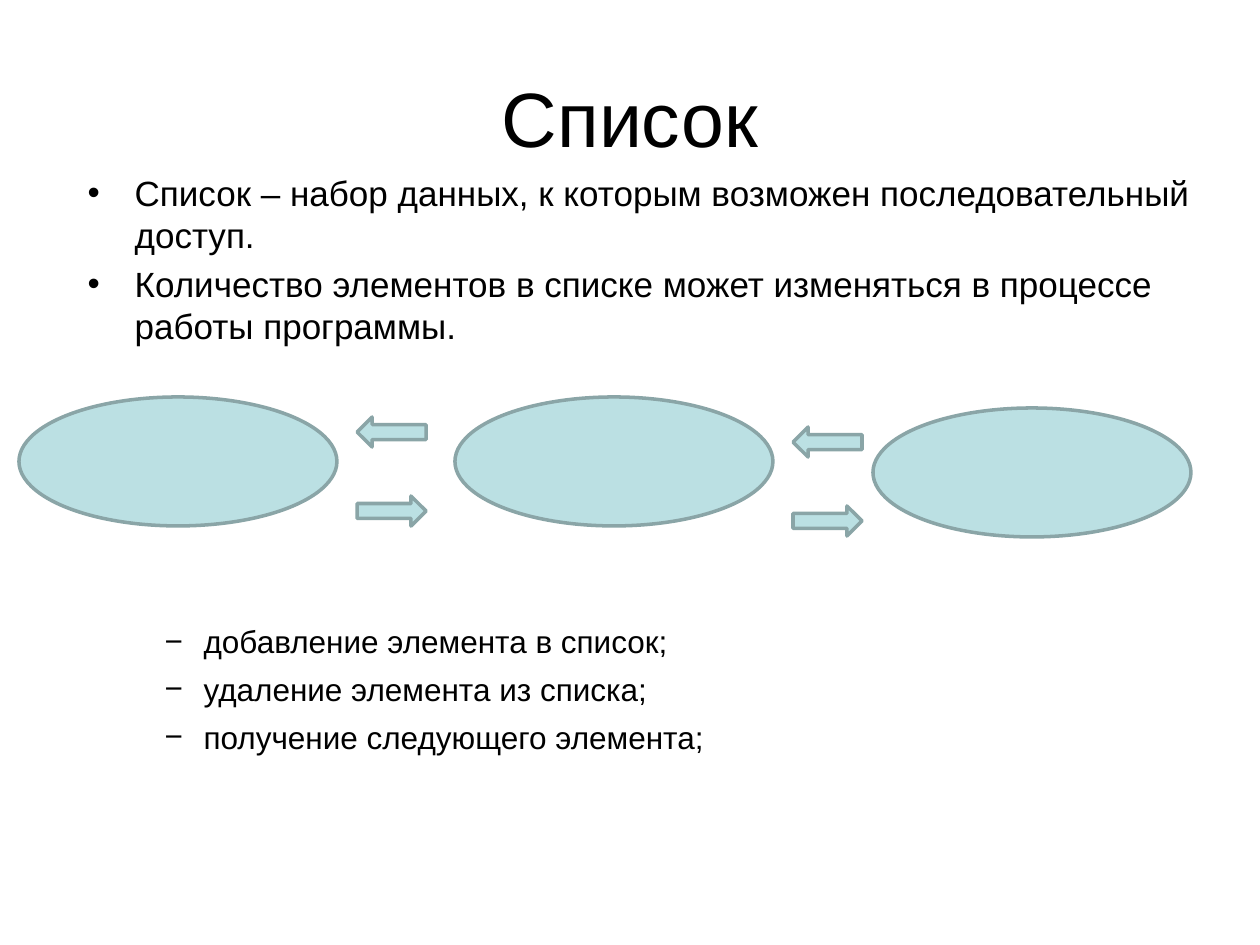
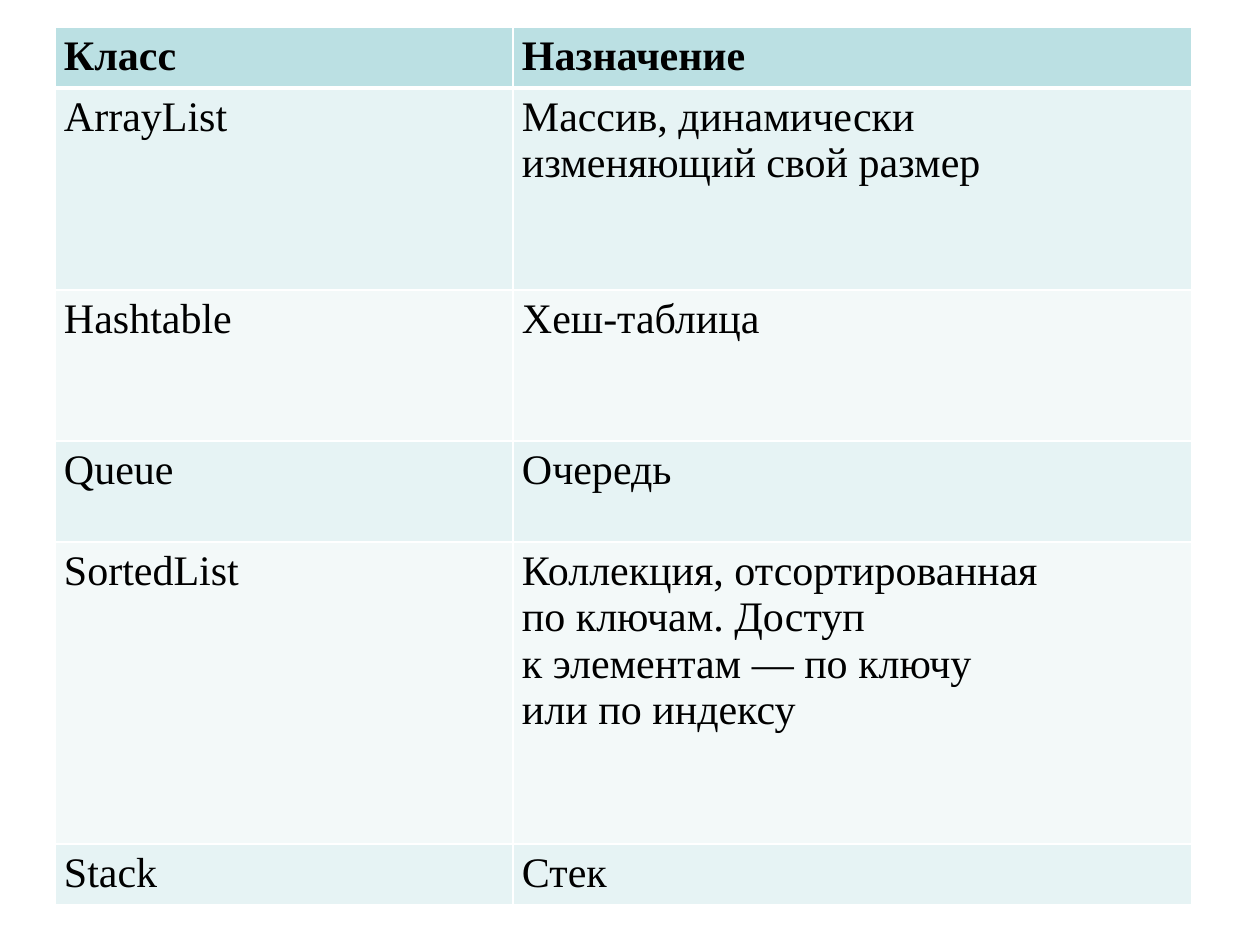
from lxml.etree import SubElement, Element
from pptx import Presentation
from pptx.dml.color import RGBColor as RGB
from pptx.enum.shapes import MSO_SHAPE as SHAPE
from pptx.enum.text import MSO_ANCHOR as ANCHOR, MSO_AUTO_SIZE as AUTOSIZE, PP_ALIGN as ALIGN
from pptx.oxml.ns import qn
from pptx.util import Emu, Pt

COLORS = {
    "text": "000000",
    "accent": "BBE0E3",
    "outline": "8AA5A7",
    "border": "FFFFFF",
    "odd_row": "E6F3F4",
    "even_row": "F3F9F9",
}
SCALE = 914400 / 126
TITLE_LAYOUT, BLANK_LAYOUT = 3, 6

CLASS_ROWS = [
    (61, "Класс", ["Назначение"]),
    (202, "ArrayList", ["Массив, динамически", "изменяющий свой размер"]),
    (151, "Hashtable", ["Хеш-таблица"]),
    (101, "Queue", ["Очередь"]),
    (302, "SortedList", ["Коллекция, отсортированная", "по ключам. Доступ",
                         "к элементам — по ключу", "или по индексу"]),
    (61, "Stack", ["Стек"]),
]


def px(length):
    """Turn pixels into EMU."""
    return Emu(round(length * SCALE))


def color(name):
    """Return a named colour."""
    return RGB.from_string(COLORS[name])


class Deck:
    """Shared style and the slide being built."""

    def __init__(self):
        """Start an empty 4:3 presentation."""
        self.presentation = Presentation()
        self.presentation.slide_width = px(1260)
        self.presentation.slide_height = px(945)
        self.slide = None

    def add_slide(self, layout):
        """Start a slide from a template layout."""
        layouts = self.presentation.slide_layouts
        self.slide = self.presentation.slides.add_slide(layouts[layout])

    def place(self, shape, left, top, width, height):
        """Move and size a shape."""
        shape.left, shape.top = px(left), px(top)
        shape.width, shape.height = px(width), px(height)

    def run(self, paragraph, text, size, font="Arial", bold=False):
        """Add one formatted run."""
        run = paragraph.add_run()
        run.text = text
        run.font.name = font
        run.font.size = Pt(size)
        run.font.bold = bold
        run.font.color.rgb = color("text")

    def paragraphs(self, frame, texts):
        """Yield a paragraph of the frame for each text."""
        for index, text in enumerate(texts):
            yield (frame.add_paragraph() if index else frame.paragraphs[0]), text

    def title(self, text):
        """Fill the title placeholder."""
        shape = self.slide.shapes.title
        self.place(shape, 63, 38, 1134, 157)
        frame = shape.text_frame
        frame.vertical_anchor = ANCHOR.MIDDLE
        frame.auto_size = AUTOSIZE.NONE
        frame.paragraphs[0].alignment = ALIGN.CENTER
        self.run(frame.paragraphs[0], text, 44)

    def bullets(self, index, box, texts, size, mark, margin, hanging, space, level=0):
        """Fill a body placeholder with a bulleted list."""
        shape = self.slide.placeholders[index]
        self.place(shape, *box)
        frame = shape.text_frame
        frame.vertical_anchor = ANCHOR.TOP
        frame.auto_size = AUTOSIZE.NONE
        for paragraph, text in self.paragraphs(frame, texts):
            properties = paragraph._p.get_or_add_pPr()
            properties.set("marL", str(px(margin)))
            properties.set("indent", str(-px(hanging)))
            bullet_color = SubElement(properties, qn("a:buClr"))
            SubElement(bullet_color, qn("a:srgbClr"), val=COLORS["text"])
            SubElement(properties, qn("a:buFont"), typeface="Arial")
            SubElement(properties, qn("a:buChar"), char=mark)
            paragraph.level = level
            first = paragraph._p is frame.paragraphs[0]._p
            paragraph.space_before = Pt(0 if first else space)
            self.run(paragraph, text, size)

    def shape(self, kind, left, top, width, height, rotation=0):
        """Add an outlined preset shape."""
        shape = self.slide.shapes.add_shape(
            kind, px(left), px(top), px(width), px(height))
        shape.rotation = rotation
        shape.shadow.inherit = False
        shape.fill.solid()
        shape.fill.fore_color.rgb = color("accent")
        shape.line.color.rgb = color("outline")
        shape.line.width = Pt(2)

    def cell(self, cell, texts, fill, bold, borders):
        """Fill a table cell and draw its borders."""
        cell.margin_left = cell.margin_right = px(9)
        cell.margin_top = cell.margin_bottom = px(6)
        cell.fill.solid()
        cell.fill.fore_color.rgb = color(fill)
        for paragraph, text in self.paragraphs(cell.text_frame, texts):
            self.run(paragraph, text, 24, "Times New Roman", bold)
        properties = cell._tc.get_or_add_tcPr()
        for position, (side, width) in enumerate(borders.items()):
            line = Element(qn(f"a:ln{side}"), w=str(Pt(width)))
            line_fill = SubElement(line, qn("a:solidFill"))
            SubElement(line_fill, qn("a:srgbClr"), val=COLORS["border"])
            properties.insert(position, line)

    def table(self, left, top, widths, rows):
        """Add a table with a header and banded rows."""
        height = sum(row[0] for row in rows)
        table = self.slide.shapes.add_table(
            len(rows), len(widths), px(left), px(top), px(sum(widths)), px(height)).table
        for column, width in zip(table.columns, widths):
            column.width = px(width)
        for index, (row_height, name, purpose) in enumerate(rows):
            table.rows[index].height = px(row_height)
            header = index == 0
            fill = "accent" if header else "odd_row" if index % 2 else "even_row"
            borders = {"L": 0.96, "R": 0.96, "T": 3 if index == 1 else 0.96,
                       "B": 3 if header else 0.96}
            for column, texts in enumerate(([name], purpose)):
                self.cell(table.cell(index, column), texts, fill, header, borders)


def build_list_slide(deck):
    """Describe the linked list and its operations."""
    deck.add_slide(TITLE_LAYOUT)
    deck.title("Список")
    deck.bullets(1, (74, 165, 1134, 362), [
        "Список – набор данных, к которым возможен последовательный доступ.",
        "Количество элементов в списке может изменяться в процессе работы программы.",
    ], 20, "•", 48, 47, 4)
    for left, top in ((19, 397), (455, 397), (873, 408)):
        deck.shape(SHAPE.OVAL, left, top, 318, 129)
    for left, top in ((357, 417), (793, 427)):
        deck.shape(SHAPE.RIGHT_ARROW, left, top + 79, 69, 30)
        deck.shape(SHAPE.RIGHT_ARROW, left, top, 69, 30, rotation=180)
    deck.bullets(2, (89, 616, 1134, 149), [
        "добавление элемента в список;",
        "удаление элемента из списка;",
        "получение следующего элемента;",
    ], 18, "−", 102, 39, 5.6, level=1)


def build_classes_slide(deck):
    """Show the collection classes."""
    deck.add_slide(BLANK_LAYOUT)
    deck.table(55, 27, (458, 679), CLASS_ROWS)


def main():
    """Build and save the slides."""
    deck = Deck()
    build_list_slide(deck)
    build_classes_slide(deck)
    deck.presentation.save("out.pptx")


if __name__ == "__main__":
    main()
